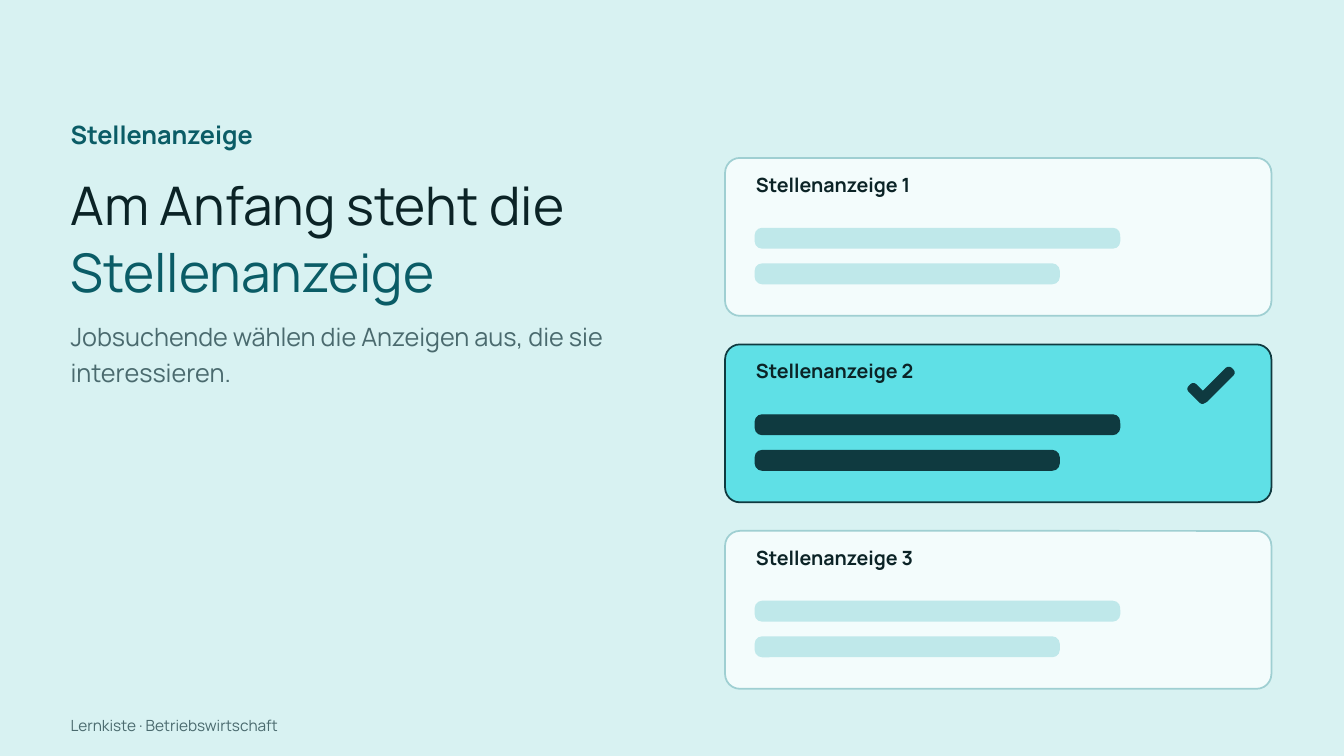
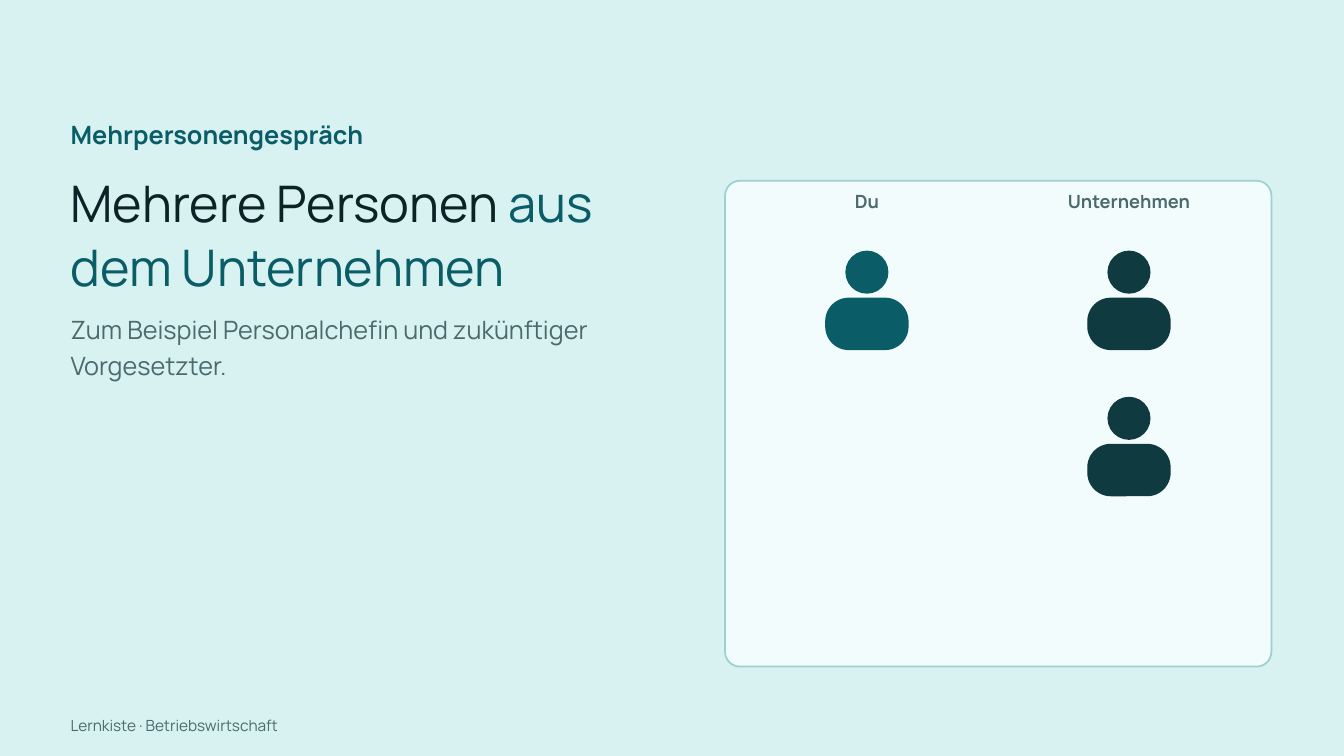
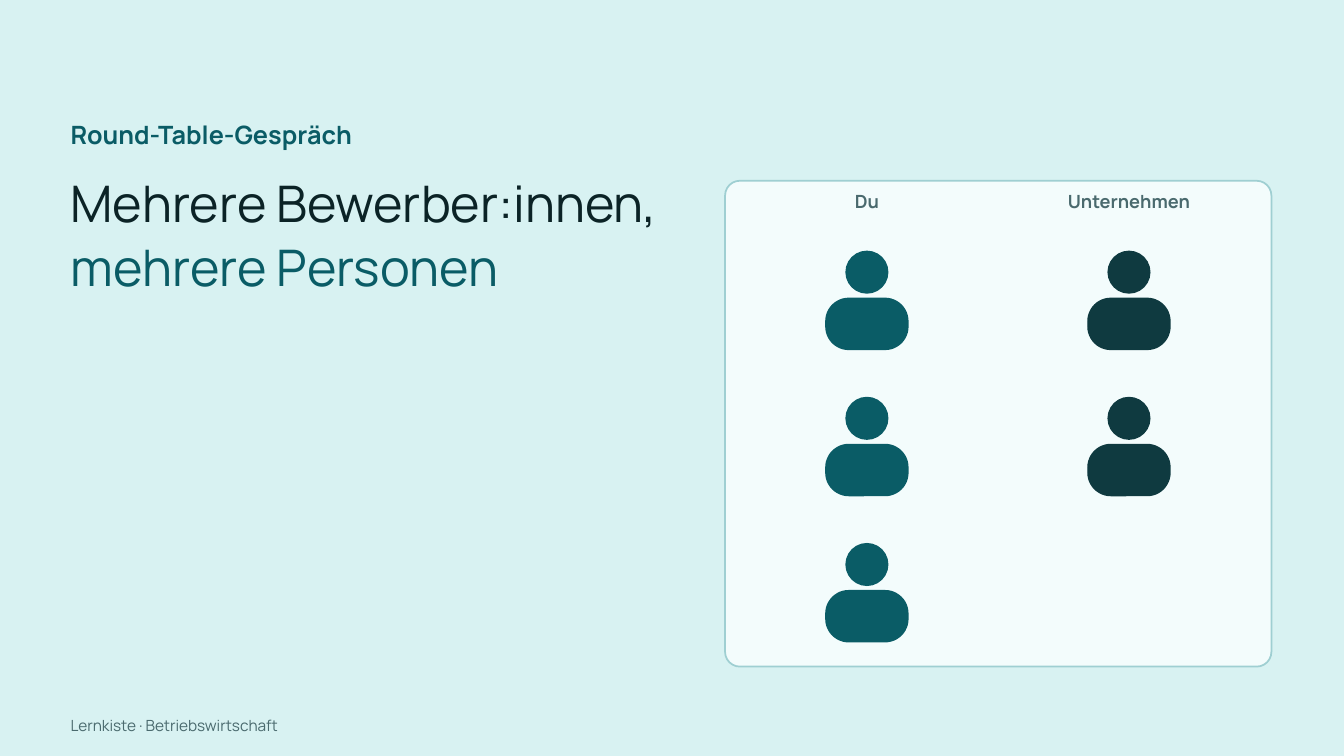
import pptx
import pptx.dml.color
import pptx.enum.shapes
import pptx.enum.text
import pptx.util

Inches = pptx.util.Inches
Pt = pptx.util.Pt
RGBColor = pptx.dml.color.RGBColor
Align = pptx.enum.text.PP_ALIGN
Anchor = pptx.enum.text.MSO_ANCHOR
AutoSize = pptx.enum.text.MSO_AUTO_SIZE
Preset = pptx.enum.shapes.MSO_SHAPE

BACKGROUND = RGBColor(0xD8, 0xF2, 0xF2)
INK = RGBColor(0x0B, 0x23, 0x26)
TEAL = RGBColor(0x0A, 0x5C, 0x66)
MUTED = RGBColor(0x4A, 0x6A, 0x6E)
DARK = RGBColor(0x0F, 0x3A, 0x40)
CARD = RGBColor(0xF3, 0xFC, 0xFC)
CARD_LINE = RGBColor(0x9F, 0xCF, 0xD2)
HIGHLIGHT = RGBColor(0x5F, 0xE0, 0xE6)
BAR = RGBColor(0xBF, 0xE8, 0xEA)

FONT = "Manrope"
FOOTER = "Lernkiste · Betriebswirtschaft"
MARGIN = 1.05
PANEL_LEFT, PANEL_WIDTH = 10.79, 8.13


def add_text(slide, box, *parts, size, spacing, color=INK, bold=False,
             align=None, anchor=Anchor.TOP, grow=True):
    """Add one paragraph; each part is a text or a (text, colour) pair."""
    shape = slide.shapes.add_textbox(*map(Inches, box))
    frame = shape.text_frame
    frame.word_wrap = True
    frame.auto_size = AutoSize.SHAPE_TO_FIT_TEXT if grow else AutoSize.NONE
    frame.vertical_anchor = anchor
    frame.margin_left = frame.margin_right = 0
    frame.margin_top = frame.margin_bottom = 0
    paragraph = frame.paragraphs[0]
    paragraph.alignment = align
    paragraph.line_spacing = Pt(spacing)
    for part in parts:
        text, part_color = (part, color) if isinstance(part, str) else part
        run = paragraph.add_run()
        run.text = text
        run.font.name = FONT
        run.font.size = Pt(size)
        run.font.bold = bold
        run.font.color.rgb = part_color


def add_figure(slide, preset, box, fill, line=None, line_width=1.5,
               radius=None, rotation=0):
    """Add a filled preset shape; the radius of its corners is in inches."""
    shape = slide.shapes.add_shape(preset, *map(Inches, box))
    shape.shadow.inherit = False
    shape.fill.solid()
    shape.fill.fore_color.rgb = fill
    shape.line.color.rgb = line or fill
    shape.line.width = Pt(line_width)
    shape.rotation = rotation
    if radius:
        shape.adjustments[0] = radius / min(box[2:])


def add_rounded(slide, box, fill, radius, **style):
    add_figure(slide, Preset.ROUNDED_RECTANGLE, box, fill, radius=radius, **style)


def add_card(slide, box, fill=CARD, line=CARD_LINE):
    add_rounded(slide, box, fill, 0.22, line=line, line_width=1.87)


def add_base_slide(presentation, topic, title, accent, title_size, title_spacing):
    """Background, footer, topic line and two-coloured title."""
    slide = presentation.slides.add_slide(presentation.slide_layouts[6])
    slide.background.fill.solid()
    slide.background.fill.fore_color.rgb = BACKGROUND
    add_text(slide, (MARGIN, 10.57, 9, 0.46), FOOTER, size=16.5, spacing=19.8,
             color=MUTED, anchor=Anchor.MIDDLE, grow=False)
    add_text(slide, (MARGIN, 1.77, 12, 0.63), topic, size=27, spacing=32.4,
             color=TEAL, bold=True)
    add_text(slide, (MARGIN, 2.52, 9.3, 4.6), title, (accent, TEAL),
             size=title_size, spacing=title_spacing)
    return slide


def add_subtitle(slide, top, text):
    add_text(slide, (MARGIN, top, 8.7, 2.79), text, size=27, spacing=38.9, color=MUTED)


def add_check_mark(slide, left, top):
    """Two crossed bars, turned by 45 degrees each way."""
    add_rounded(slide, (left, top + 0.13, 0.33, 0.14), DARK, 0.05, rotation=45)
    add_rounded(slide, (left + 0.12, top, 0.65, 0.14), DARK, 0.05, rotation=315)


def add_job_ad(slide, box, label, chosen=False):
    """Card with a label and two bars standing for lines of text."""
    left, top, width, height = box
    if chosen:
        add_card(slide, box, HIGHLIGHT, DARK)
    else:
        add_card(slide, box)
    add_text(slide, (left + 0.46, top + 0.22, 7.2, 0.62), label,
             size=21, spacing=25.2, bold=True)
    for offset, bar_width in ((1.05, 5.42), (1.58, 4.52)):
        add_rounded(slide, (left + 0.45, top + offset, bar_width, 0.29),
                    DARK if chosen else BAR, 0.1)
    if chosen:
        add_check_mark(slide, left + width - 1.26, top + 0.53)


def add_job_ads(slide, box, count, chosen):
    """Column of equal cards, spread evenly over the box."""
    left, top, width, height = box
    card_height = 2.35
    step = (height - card_height) / (count - 1)
    for index in range(count):
        add_job_ad(slide, (left, top + index * step, width, card_height),
                   f"Stellenanzeige {index + 1}", chosen=index + 1 == chosen)


def add_person(slide, center, top, color):
    add_figure(slide, Preset.OVAL, (center - 0.31, top, 0.62, 0.62), color)
    add_rounded(slide, (center - 0.61, top + 0.7, 1.22, 0.76), color, 0.34)


def add_meeting(slide, box, applicants, interviewers):
    """Panel with one column of people for each side of the talk."""
    left, top, width, height = box
    add_card(slide, box)
    label_width, row_step = 3.6, 4.35 / 2
    sides = (("Du", applicants, TEAL), ("Unternehmen", interviewers, DARK))
    for column, (label, people, color) in enumerate(sides):
        label_left = left + 0.31 + column * 3.9
        add_text(slide, (label_left, top + 0.14, label_width, 0.62), label,
                 size=19.5, spacing=23.4, color=MUTED, bold=True, align=Align.CENTER)
        for row in range(people):
            add_person(slide, label_left + label_width / 2,
                       top + 1.05 + row * row_step, color)


def main():
    presentation = pptx.Presentation()
    presentation.slide_width = Inches(20)
    presentation.slide_height = Inches(11.25)
    meeting_box = (PANEL_LEFT, 2.69, PANEL_WIDTH, 7.23)

    # Job advertisements
    slide = add_base_slide(presentation, "Stellenanzeige", "Am Anfang steht die ",
                           "Stellenanzeige", 57, 71.8)
    add_subtitle(slide, 4.69, "Jobsuchende wählen die Anzeigen aus, die sie interessieren.")
    add_job_ads(slide, (PANEL_LEFT, 2.35, PANEL_WIDTH, 7.9), count=3, chosen=2)

    # One applicant, several interviewers
    slide = add_base_slide(presentation, "Mehrpersonengespräch", "Mehrere Personen ",
                           "aus dem Unternehmen", 54, 68)
    add_subtitle(slide, 4.58, "Zum Beispiel Personalchefin und zukünftiger Vorgesetzter.")
    add_meeting(slide, meeting_box, applicants=1, interviewers=2)

    # Several applicants, several interviewers
    slide = add_base_slide(presentation, "Round-Table-Gespräch", "Mehrere Bewerber:innen, ",
                           "mehrere Personen", 54, 68)
    add_meeting(slide, meeting_box, applicants=3, interviewers=2)

    presentation.save("out.pptx")


if __name__ == "__main__":
    main()
